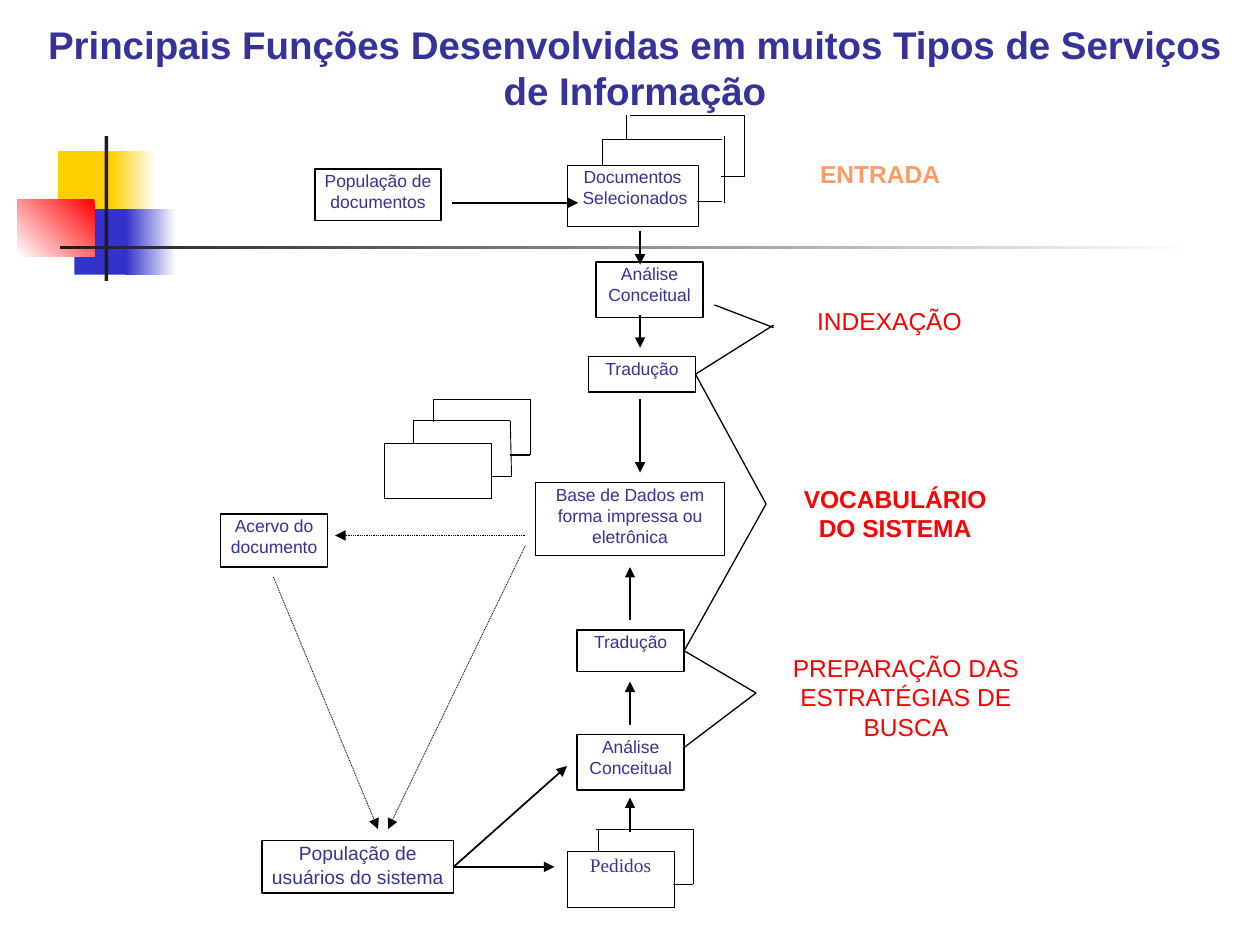
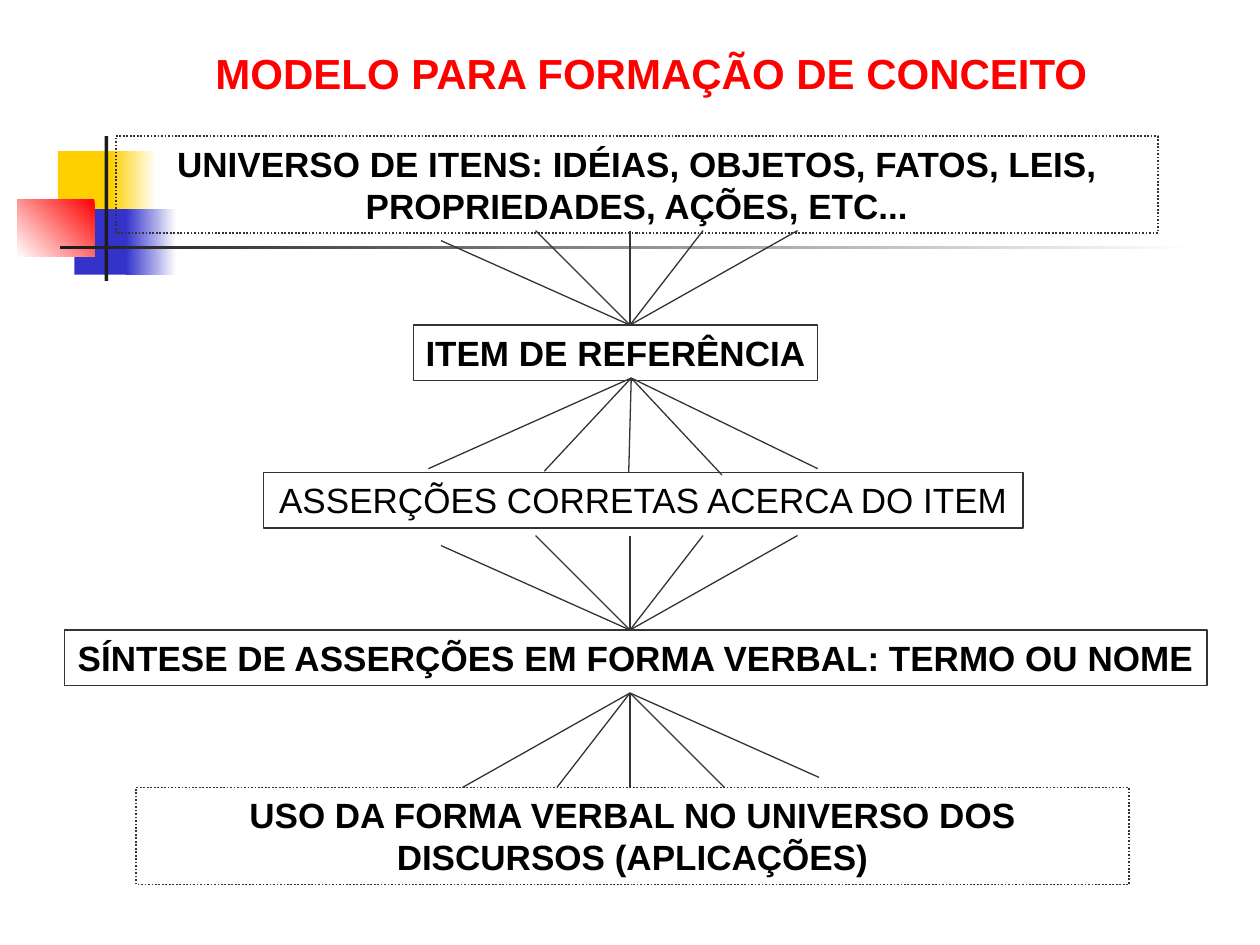
"""Builds two slides on information services and concept formation."""
from dataclasses import dataclass
from itertools import pairwise

from lxml.etree import SubElement
from pptx import Presentation
from pptx.dml.color import RGBColor
from pptx.enum.dml import MSO_LINE as Dash
from pptx.enum.shapes import MSO_CONNECTOR as Conn, MSO_SHAPE as Kind
from pptx.enum.text import MSO_ANCHOR as Anchor, PP_ALIGN as Align
from pptx.oxml.ns import qn
from pptx.util import Inches, Pt


@dataclass(frozen=True)
class Theme:
    font: str = "Arial"
    serif: str = "Times New Roman"
    white: str = "FFFFFF"
    black: str = "000000"
    ink: str = "333399"
    red: str = "FF0000"
    peach: str = "FF9966"
    gold: str = "FFCF01"
    blue: str = "3333CC"
    dark: str = "1C1C1C"
    gray: str = "333333"
    head: int = 22
    big: int = 24
    body: int = 20
    label: int = 14
    user: int = 11
    small: int = 10


T = Theme()

BANDS = [
    ((0.46, 1.2, 0.48, 0.52), T.gold, None, 0),
    ((0.88, 1.2, 0.36, 0.52), T.white, T.gold, 180),
    ((0.59, 1.66, 0.46, 0.52), T.blue, None, 0),
    ((1, 1.66, 0.4, 0.52), T.white, T.blue, 180),
    ((0.14, 1.58, 0.61, 0.46), T.red, T.white, 225),
    ((0.83, 1.08, 0.03, 1.15), T.dark, None, 0),
    ((0.48, 1.95, 9, 0.03), T.white, T.dark, 180),
]

TITLE = "Principais Funções Desenvolvidas em muitos Tipos de Serviços de Informação"

BOXES = [
    ("people", "População de documentos", (2.5, 1.34, 1, 0.41), 1, T.small, T.font),
    ("docs", "Documentos\n Selecionados", (4.5, 1.31, 1.04, 0.49), 0.5, T.small, T.font),
    ("study", "Análise Conceitual", (4.73, 2.08, 0.85, 0.44), 1, T.small, T.font),
    ("term", "Tradução", (4.67, 2.83, 0.85, 0.28), 1, T.small, T.font),
    ("sheet", "", (3.05, 3.52, 0.85, 0.44), 0.5, T.small, T.font),
    ("base", "Base de Dados em forma impressa ou eletrônica",
     (4.25, 3.83, 1.5, 0.58), 1, T.small, T.font),
    ("stock", "Acervo do documento", (1.75, 4.08, 0.85, 0.42), 1, T.small, T.font),
    ("query", "Tradução", (4.58, 5, 0.85, 0.33), 1, T.small, T.font),
    ("probe", "Análise\nConceitual", (4.58, 5.83, 0.85, 0.44), 1, T.small, T.font),
    ("asks", "Pedidos", (4.5, 6.76, 0.85, 0.44), 0.5, T.user, T.serif),
    ("users", "População de usuários do sistema",
     (2.08, 6.67, 1.52, 0.42), 1, T.user, T.font),
]

LABELS = [
    ("ENTRADA", (6.25, 1.25, 1.47, 0.35), T.peach, True),
    ("INDEXAÇÃO", (6.21, 2.42, 1.7, 0.44), T.red, False),
    ("VOCABULÁRIO DO SISTEMA", (6.33, 3.83, 1.55, 0.58), T.red, True),
    ("PREPARAÇÃO DAS ESTRATÉGIAS DE BUSCA", (6.17, 5.17, 2.04, 0.88), T.red, False),
]

EDGES = [
    (0.5, [(4.78, 1.31), (4.78, 1.11), (5.73, 1.11)]),
    (0.5, [(5.75, 1.08), (5.75, 1.61)]),
    (0.5, [(5.73, 1.6), (5.53, 1.6)]),
    (0.5, [(4.97, 1.11), (4.97, 0.91)]),
    (0.5, [(5, 0.92), (5.91, 0.92), (5.91, 1.4), (5.72, 1.4)]),
    (0.5, [(3.28, 3.52), (3.28, 3.34), (4.05, 3.34), (4.06, 3.78), (3.9, 3.78)]),
    (1, [(3.44, 3.35), (3.44, 3.17), (4.21, 3.17), (4.21, 3.61), (4.05, 3.61)]),
    (0.5, [(4.75, 6.76), (4.75, 6.58)]),
    (0.5, [(4.73, 6.58), (5.5, 6.58), (5.5, 7.02), (5.34, 7.02)]),
    (0.75, [(5.67, 2.42), (6.14, 2.6)]),
    (0.75, [(6.14, 2.58), ("term", 3), (6.08, 4), ("query", 3), (6, 5.5), (5.42, 5.94)]),
]

ARROWS = [
    (1, None, (3.59, 1.61), (4.59, 1.61)),
    (1.5, None, (5.08, 1.83), (5.08, 2.1)),
    (1.5, None, (5.08, 2.5), (5.08, 2.76)),
    (1.5, None, (5.08, 3.17), (5.08, 3.75)),
    (1.5, None, (5, 4.92), (5, 4.5)),
    (1.5, None, (5, 5.75), (5, 5.41)),
    (1.5, None, (5, 6.6), (5, 6.33)),
    (1, None, ("users", 3), (4.5, 6.08)),
    (1, None, ("users", 3), (4.4, 6.88)),
    (0.5, Dash.ROUND_DOT, (2.17, 4.58), (3, 6.58)),
    (0.5, Dash.ROUND_DOT, (4.17, 4.33), (3.08, 6.58)),
    (0.5, Dash.ROUND_DOT, (4.17, 4.25), (2.66, 4.25)),
]

MODEL = "MODELO PARA FORMAÇÃO DE CONCEITO"

STEPS = [
    ("UNIVERSO DE ITENS: IDÉIAS, OBJETOS, FATOS, LEIS, PROPRIEDADES, AÇÕES, ETC...",
     (0.92, 1.08, 8.27, 0.77), True, True),
    ("ITEM DE REFERÊNCIA", (3.28, 2.58, 3.21, 0.44), True, False),
    ("ASSERÇÕES CORRETAS ACERCA DO ITEM", (2.09, 3.75, 6.03, 0.44), False, False),
    ("SÍNTESE DE ASSERÇÕES EM FORMA VERBAL: TERMO OU NOME",
     (0.51, 5, 9.07, 0.44), True, False),
    ("USO DA FORMA VERBAL NO UNIVERSO DOS DISCURSOS (APLICAÇÕES)",
     (1.08, 6.25, 7.88, 0.77), True, True),
]

RAYS = [(0, -0.75), (0.58, -0.75), (1.33, -0.75), (-0.75, -0.75), (-1.5, -0.67)]
FANS = [
    ((5, 2.58), RAYS),
    ((5.01, 3), [(-0.02, 0.75), (-0.69, 0.74), (-1.61, 0.72), (0.72, 0.77), (1.48, 0.72)]),
    ((5, 5), RAYS),
    ((5, 5.5), [(-x, -y) for x, y in RAYS]),
]


def rgb(code):
    return RGBColor.from_string(code)


def stroke(line, color, width, dash=None):
    line.color.rgb = rgb(color)
    line.width = Pt(width)
    if dash:
        line.dash_style = dash


def block(slide, at):
    shape = slide.shapes.add_shape(Kind.RECTANGLE, *map(Inches, at))
    shape.shadow.inherit = False
    shape.fill.background()
    shape.line.fill.background()
    return shape


def write(shape, text, size, color, bold=False, font=T.font, pad=(0.01, 0.01),
          wrap=True, align=Align.CENTER):
    frame = shape.text_frame
    frame.text = text
    frame.word_wrap = wrap
    frame.vertical_anchor = Anchor.TOP
    frame.margin_left = frame.margin_right = Inches(pad[0])
    frame.margin_top = frame.margin_bottom = Inches(pad[1])
    for para in frame.paragraphs:
        para.alignment = align
        for run in para.runs:
            run.font.name = font
            run.font.size = Pt(size)
            run.font.bold = bold
            run.font.color.rgb = rgb(color)


def link(slide, start, end, color, width, dash=None, arrow=False, boxes=None):
    spots = [(0, 0) if isinstance(p[0], str) else p for p in (start, end)]
    line = slide.shapes.add_connector(
        Conn.STRAIGHT, *(Inches(v) for spot in spots for v in spot))
    for point, join in ((start, line.begin_connect), (end, line.end_connect)):
        if isinstance(point[0], str):
            join(boxes[point[0]], point[1])
    stroke(line.line, color, width, dash)
    if arrow:
        SubElement(line.line._get_or_add_ln(), qn("a:tailEnd"), type="triangle")
    SubElement(line._element.spPr, qn("a:effectLst"))


def start(deck):
    slide = deck.slides.add_slide(deck.slide_layouts[6])
    for at, first, last, angle in BANDS:
        fill = block(slide, at).fill
        if last:
            fill.gradient()
            fill.gradient_angle = angle
            for stop, color in zip(fill.gradient_stops, (first, last)):
                stop.color.rgb = rgb(color)
        else:
            fill.solid()
            fill.fore_color.rgb = rgb(first)
    return slide


def flow(deck):
    slide = start(deck)
    title = block(slide, (0.25, 0.12, 9.58, 0.8))
    title.fill.solid()
    title.fill.fore_color.rgb = rgb(T.white)
    write(title, TITLE, T.head, T.ink, True, pad=(0.1, 0.05))
    boxes = {}
    for key, text, at, width, size, font in BOXES:
        boxes[key] = box = block(slide, at)
        stroke(box.line, T.black, width)
        write(box, text, size, T.ink, font=font)
    for text, at, color, bold in LABELS:
        label = slide.shapes.add_textbox(*map(Inches, at))
        write(label, text, T.label, color, bold)
    for width, points in EDGES:
        for a, b in pairwise(points):
            link(slide, a, b, T.black, width, boxes=boxes)
    for width, dash, a, b in ARROWS:
        link(slide, a, b, T.black, width, dash, True, boxes)


def model(deck):
    slide = start(deck)
    title = slide.shapes.add_textbox(*map(Inches, (0.42, 0.33, 8.35, 0.5)))
    write(title, MODEL, T.big, T.red, True, pad=(0.1, 0.05), wrap=False, align=Align.LEFT)
    title.text_frame.margin_left = Inches(1.29)
    for text, at, bold, dots in STEPS:
        box = block(slide, at)
        stroke(box.line, T.gray, 1 if dots else 0.75, Dash.ROUND_DOT if dots else None)
        write(box, text, T.body, T.black, bold, pad=(0.1, 0.05), wrap=dots)
    for (x, y), rays in FANS:
        for dx, dy in rays:
            link(slide, (x, y), (x + dx, y + dy), T.gray, 0.75)


def main():
    deck = Presentation()
    deck.slide_width, deck.slide_height = Inches(10), Inches(7.5)
    flow(deck)
    model(deck)
    deck.save("out.pptx")


if __name__ == "__main__":
    main()
